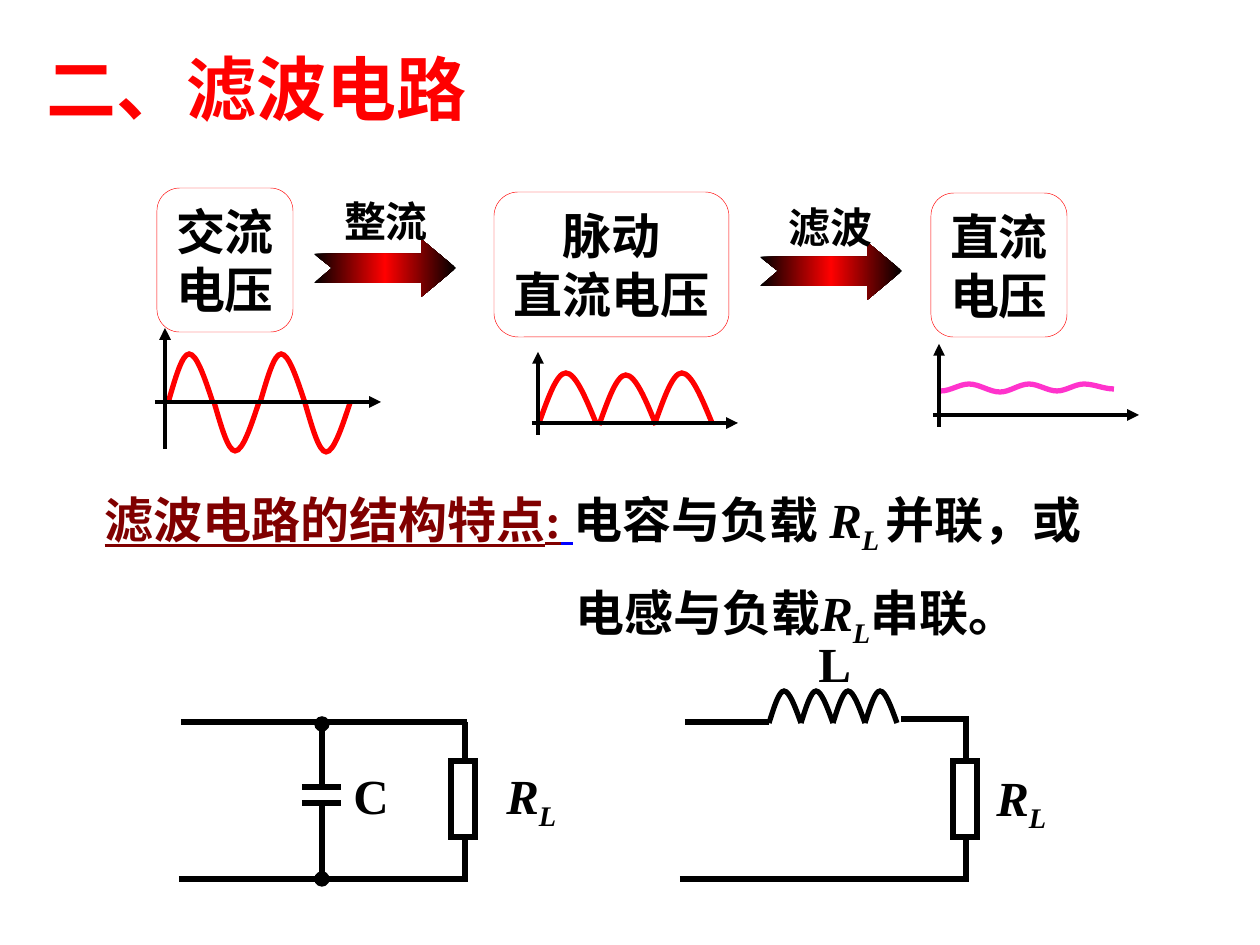
import copy
import dataclasses

import pptx
import pptx.dml.color
import pptx.enum.shapes
import pptx.enum.text
import pptx.oxml
import pptx.oxml.ns
import pptx.util

PX = 914400 / 126  # EMU in one px
SHAPES = pptx.enum.shapes.MSO_SHAPE
ANCHOR = pptx.enum.text.MSO_ANCHOR
ALIGN = pptx.enum.text.PP_ALIGN
NO_AUTOFIT = pptx.enum.text.MSO_AUTO_SIZE.NONE


@dataclasses.dataclass(frozen=True)
class Theme:
    red: str = "FF0000"
    maroon: str = "800000"
    blue: str = "0000FF"
    pink: str = "FF33CC"
    black: str = "000000"
    white: str = "FFFFFF"
    latin: str = "Times New Roman"
    chinese: str = "Noto Sans CJK SC"
    title: int = 40
    body: int = 28
    label: int = 24
    wire: float = 3
    axis: float = 2.25
    border: float = 0.25


THEME = Theme()

# Content: runs are (text, style); places are left, top, width, height in px
TITLE = ("二、滤波电路", (34, 47, 451, 82))
HEADING = {"color": THEME.maroon, "underline": True}
SYMBOL = {"italic": True}
SUBSCRIPT = {"italic": True, "subscript": True}
FEATURES = [
    ("滤波电路的结构特点:", HEADING),
    (" ", {"color": THEME.blue, "underline": True}),
    ("电容与负载 ", {}), ("R", SYMBOL), ("L ", SUBSCRIPT),
    ("并联，或电感与负载", {}), ("R", SYMBOL), ("L", SUBSCRIPT), ("串联。", {}),
]
FEATURES_BOX = (92, 456, 1021, 200)
FEATURES_INDENT = 471
STAGES = [
    ("交流\n电压", (157, 188, 136, 144)),
    ("脉动\n直流电压", (494, 192, 235, 145)),
    ("直流\n电压", (931, 193, 136, 144)),
]
STEPS = [("整流", (326, 189, 120, 63), (314, 239)),
         ("滤波", (771, 195, 120, 63), (760, 242))]
ARROW_OUTLINE = [(0, 15), (107, 15), (107, 0), (142, 29), (107, 58), (107, 44), (0, 44), (18, 29)]

LOAD = [("R", SYMBOL), ("L", SUBSCRIPT)]
CIRCUIT_LABELS = [
    (LOAD, (984, 761, 89, 79)), ([("L", {})], (806, 627, 118, 72)),
    (LOAD, (494, 759, 89, 79)), ([("C", {})], (341, 759, 71, 72)),
]
WIRES = [  # x1, y1, x2, y2
    (685, 722, 769, 722), (966, 722, 966, 882), (680, 879, 966, 879), (901, 719, 969, 719),
    (181, 722, 467, 722), (465, 722, 465, 882), (179, 879, 465, 879),
    (302, 787, 341, 787), (302, 803, 341, 803), (322, 722, 322, 787), (322, 803, 322, 879),
]
RESISTORS = [(953, 761, 24, 76), (451, 761, 24, 76)]
JUNCTIONS = [(317, 719, 10, 10), (317, 874, 10, 10)]
AXES = [
    (538, 435, 538, 352), (532, 423, 738, 423),
    (939, 427, 939, 344), (933, 415, 1139, 415),
    (155, 402, 381, 402), (165, 449, 165, 328),
]
# Half waves: left, base line, width, rise (negative is upwards)
COIL = [(769 + 32 * turn, 723, 32, -32) for turn in range(4)]
PULSES = [(539, 423, 57, -50), (599, 425, 57, -50), (655, 423, 57, -50)]
SINE = [(168, 403, 45, -49), (214, 402, 45, 49), (260, 403, 45, -49), (305, 403, 45, 49)]
HALF_WAVE = [(0, 0), (0.16, 0.5), (0.31, 1), (0.47, 1), (0.64, 1), (0.82, 0.5), (1, 0)]
RIPPLE = [(941, 391), (969, 384), (1000, 392), (1029, 384), (1057, 391), (1084, 384), (1114, 389)]


def emu(px):
    return pptx.util.Emu(round(px * PX))


def rgb(color):
    return pptx.dml.color.RGBColor.from_string(color)


def drawing_element(tag, attributes=""):
    return pptx.oxml.parse_xml(f'<a:{tag} {pptx.oxml.ns.nsdecls("a")} {attributes}/>')


def place(shape, box):
    shape.left, shape.top, shape.width, shape.height = map(emu, box)


def format_run(run, size, color=THEME.black, latin=THEME.latin,
               italic=False, underline=False, subscript=False):
    font = run.font
    font.size, font.name, font.bold = pptx.util.Pt(size), latin, True
    font.italic, font.underline = italic, underline
    font.color.rgb = rgb(color)
    properties = run._r.get_or_add_rPr()
    properties.append(drawing_element("ea", f'typeface="{THEME.chinese}"'))
    if subscript:
        properties.set("baseline", "-25000")


def add_runs(paragraph, runs, size):
    for text, style in runs:
        run = paragraph.add_run()
        run.text = text
        format_run(run, size, **style)


def centre_text(shape, text, size):
    frame = shape.text_frame
    frame.text = text
    frame.word_wrap = False
    frame.vertical_anchor = ANCHOR.MIDDLE
    for paragraph in frame.paragraphs:
        paragraph.alignment = ALIGN.CENTER
        for run in paragraph.runs:
            format_run(run, size, latin=THEME.chinese)


def style_shape(shape, fill, line, width=THEME.wire):
    shape.shadow.inherit = False
    if fill:
        shape.fill.solid()
        shape.fill.fore_color.rgb = rgb(fill)
    else:
        shape.fill.background()
    shape.line.color.rgb = rgb(line)
    shape.line.width = pptx.util.Pt(width)
    shape._element.spPr.get_or_add_ln().append(drawing_element("miter", 'lim="800000"'))


def add_preset(shapes, preset, box, *style):
    shape = shapes.add_shape(preset, *map(emu, box))
    style_shape(shape, *style)
    return shape


def add_line(shapes, ends, width, arrow=False):
    line = shapes.add_connector(pptx.enum.shapes.MSO_CONNECTOR.STRAIGHT, *map(emu, ends))
    line.line.color.rgb = rgb(THEME.black)
    line.line.width = pptx.util.Pt(width)
    properties = line._element.spPr
    if arrow:
        properties.get_or_add_ln().append(drawing_element("tailEnd", 'type="triangle"'))
    properties.append(drawing_element("effectLst"))


def add_outline(shapes, points, close):
    (x, y), *rest = [(emu(x), emu(y)) for x, y in points]
    builder = shapes.build_freeform(x, y)
    builder.add_line_segments(rest, close=close)
    return builder.convert_to_shape()


def add_curve(shapes, points, color):
    """Draw a Bézier curve: a start, then two handles and an end per piece."""
    shape = add_outline(shapes, points, False)
    segments = list(shape._element.iter(pptx.oxml.ns.qn("a:lnTo")))
    for first in range(0, len(segments), 3):
        bezier = drawing_element("cubicBezTo")
        segments[first].addprevious(bezier)
        for segment in segments[first:first + 3]:
            bezier.append(segment[0])
            segment.getparent().remove(segment)
    style_shape(shape, None, color)


def add_half_waves(shapes, waves, color):
    for left, base, width, rise in waves:
        add_curve(shapes, [(left + width * u, base + rise * v) for u, v in HALF_WAVE], color)


def add_step(shapes, text, box, origin):
    arrow = add_outline(shapes, [(origin[0] + x, origin[1] + y) for x, y in ARROW_OUTLINE], True)
    arrow.shadow.inherit = False
    arrow.line.fill.background()
    arrow.fill.gradient()
    arrow.fill.gradient_angle = 0
    stops = next(arrow._element.iter(pptx.oxml.ns.qn("a:gsLst")))
    stops.insert(1, copy.deepcopy(stops[0]))
    colors = (THEME.black, THEME.red, THEME.black)
    for stop, color, position in zip(arrow.fill.gradient_stops, colors, (0, 0.5, 1)):
        stop.color.rgb = rgb(color)
        stop.position = position
    centre_text(shapes.add_textbox(*map(emu, box)), text, THEME.label)


def main():
    presentation = pptx.Presentation()
    presentation.slide_width, presentation.slide_height = emu(1260), emu(945)
    slide = presentation.slides.add_slide(presentation.slide_layouts[1])
    shapes = slide.shapes

    # Title and description
    title, body = shapes.title, slide.placeholders[1]
    place(title, TITLE[1])
    title.text_frame.text = TITLE[0]
    title.text_frame.vertical_anchor = ANCHOR.MIDDLE
    title.text_frame.auto_size = NO_AUTOFIT
    title.text_frame.paragraphs[0].alignment = ALIGN.LEFT
    format_run(title.text_frame.paragraphs[0].runs[0], THEME.title, THEME.red)
    place(body, FEATURES_BOX)
    body.text_frame.auto_size = NO_AUTOFIT
    paragraph = body.text_frame.paragraphs[0]
    properties = paragraph._p.get_or_add_pPr()
    properties.set("marL", str(emu(FEATURES_INDENT)))
    properties.set("indent", str(-emu(FEATURES_INDENT)))
    properties.append(drawing_element("buNone"))
    paragraph.line_spacing, paragraph.space_before = 1.4, pptx.util.Pt(0)
    add_runs(paragraph, FEATURES, THEME.body)

    # Conversion stages
    for text, box in STAGES:
        stage = add_preset(shapes, SHAPES.FLOWCHART_ALTERNATE_PROCESS, box,
                           None, THEME.red, THEME.border)
        centre_text(stage, text, THEME.body)
    for step in STEPS:
        add_step(shapes, *step)

    # Circuits
    for wire in WIRES:
        add_line(shapes, wire, THEME.wire)
    for box in RESISTORS:
        add_preset(shapes, SHAPES.RECTANGLE, box, THEME.white, THEME.black)
    for box in JUNCTIONS:
        add_preset(shapes, SHAPES.OVAL, box, THEME.black, THEME.black)
    add_half_waves(shapes, COIL, THEME.black)
    for runs, box in CIRCUIT_LABELS:
        label = shapes.add_textbox(*map(emu, box))
        label.text_frame.word_wrap = True
        add_runs(label.text_frame.paragraphs[0], runs, THEME.body)

    # Waveforms
    add_half_waves(shapes, PULSES + SINE, THEME.red)
    ripple = RIPPLE[:1]
    for (x1, y1), (x2, y2) in zip(RIPPLE, RIPPLE[1:]):
        third = (x2 - x1) / 3
        ripple += [(x1 + third, y1), (x2 - third, y2), (x2, y2)]
    add_curve(shapes, ripple, THEME.pink)
    for axis in AXES:
        add_line(shapes, axis, THEME.axis, arrow=True)

    presentation.save("out.pptx")


if __name__ == "__main__":
    main()
